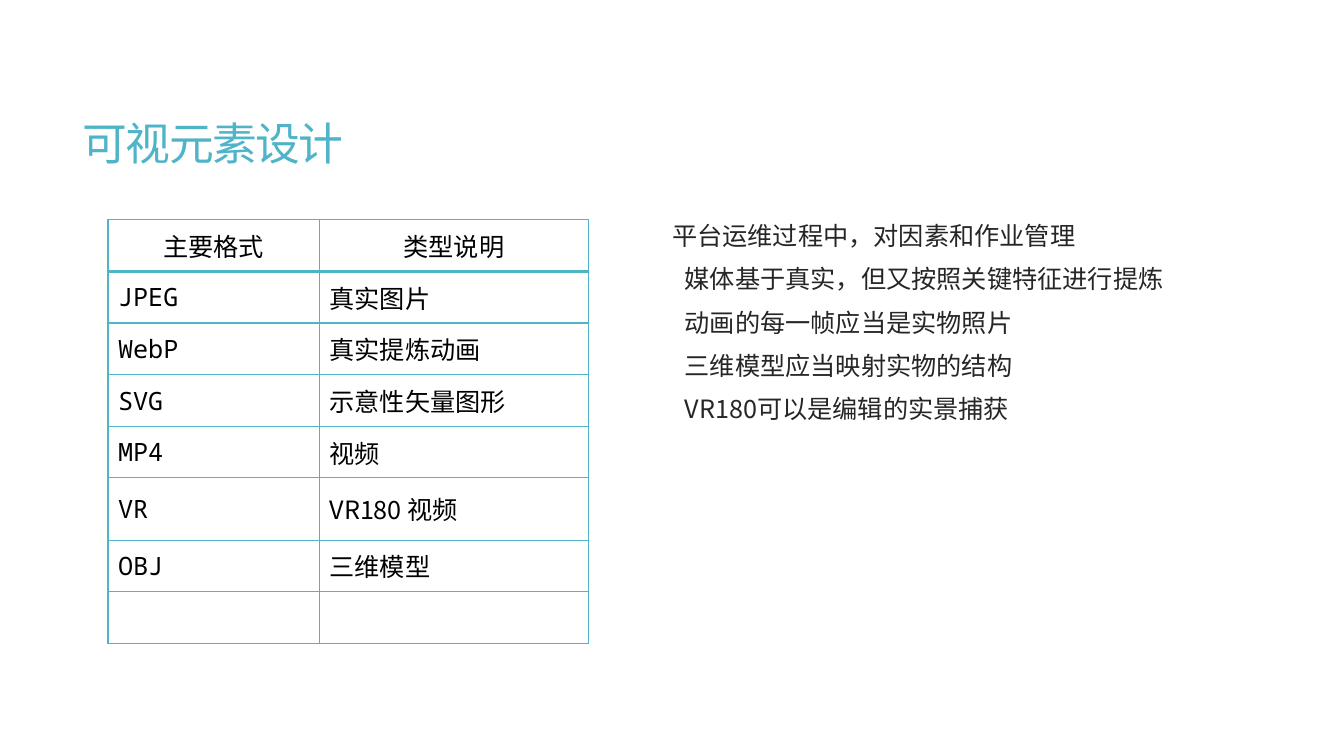
"""Build the slide on the design of visual elements: a format table beside notes."""
import pptx
import pptx.dml.color
import pptx.enum.text
import pptx.oxml
import pptx.oxml.ns
import pptx.util
from pptx.util import Cm

SANS, MONO = "Noto Sans CJK SC", "Noto Sans Mono"
TEAL, BLACK, DARK = "50B4C8", "000000", "262626"
TITLE = "可视元素设计"
HEADER = ("主要格式", "类型说明")
FORMATS = [
    ("JPEG", "真实图片"),
    ("WebP", "真实提炼动画"),
    ("SVG", "示意性矢量图形"),
    ("MP4", "视频"),
    ("VR", "VR180 视频"),
    ("OBJ", "三维模型"),
    ("", ""),
]
NOTES = [
    "平台运维过程中，对因素和作业管理",
    "媒体基于真实，但又按照关键特征进行提炼",
    "动画的每一帧应当是实物照片",
    "三维模型应当映射实物的结构",
    "VR180可以是编辑的实景捕获",
]
COLUMN_WIDTHS = (5.33, 6.78)
ROW_HEIGHT, VR_HEIGHT = 1.3, 1.57
ALIGN = pptx.enum.text.PP_ALIGN
MIDDLE = pptx.enum.text.MSO_ANCHOR.MIDDLE


def color(value):
    return pptx.dml.color.RGBColor.from_string(value)


def add_element(parent, tag, **attributes):
    child = parent.makeelement(pptx.oxml.ns.qn(tag), attributes)
    parent.append(child)
    return child


def write(para, text, size=18, font=SANS, fill=BLACK, align=ALIGN.LEFT,
          line=None, before=None, spacing=None):
    para.alignment = align
    if line:
        para.line_spacing = line
    if before:
        para.space_before = pptx.util.Pt(before)
    if not text:
        return
    span = para.add_run()
    span.text = text
    span.font.size = pptx.util.Pt(size)
    span.font.name = font
    span.font.color.rgb = color(fill)
    properties = span.font._element
    add_element(properties, "a:ea", typeface=font)
    if spacing:
        properties.set("spc", str(round(spacing * 100)))


def set_borders(cell, **widths):
    properties = cell._tc.get_or_add_tcPr()
    for side in "LRTB":
        width = pptx.util.Pt(widths.get(side, 1))
        border = add_element(properties, f"a:ln{side}", w=str(width))
        add_element(add_element(border, "a:solidFill"), "a:srgbClr", val=TEAL)


def add_title(page):
    title = page.shapes.title
    title.left, title.top, title.width, title.height = Cm(1.83), Cm(1.4), Cm(29.92), Cm(4.6)
    title.text_frame.vertical_anchor = MIDDLE
    write(title.text_frame.paragraphs[0], TITLE, size=32, fill=TEAL, line=0.85, spacing=-1.2)


def add_formats(page):
    rows = [HEADER] + FORMATS
    heights = [VR_HEIGHT if row[0] == "VR" else ROW_HEIGHT for row in rows]
    frame = page.shapes.add_table(len(rows), len(HEADER), Cm(2.72), Cm(5.54),
                                  Cm(sum(COLUMN_WIDTHS)), Cm(sum(heights)))
    table = frame.table
    table.first_row = table.horz_banding = False
    for column, width in zip(table.columns, COLUMN_WIDTHS):
        column.width = Cm(width)
    for r, (row, height) in enumerate(zip(rows, heights)):
        table.rows[r].height = Cm(height)
        for c, text in enumerate(row):
            cell = table.cell(r, c)
            cell.vertical_anchor = MIDDLE
            set_borders(cell, T=2 if r == 1 else 1, B=2 if r == 0 else 1)
            cell.fill.background()
            write(cell.text_frame.paragraphs[0], text,
                  font=MONO if r and c == 0 else SANS,
                  align=ALIGN.LEFT if r else ALIGN.CENTER)


def add_notes(page):
    box = page.shapes.add_textbox(Cm(16.69), Cm(5.56), Cm(12.95), Cm(10.46))
    frame = box.text_frame
    frame.word_wrap = True
    for index, text in enumerate(NOTES):
        para = frame.add_paragraph() if index else frame.paragraphs[0]
        write(para, text, fill=DARK, line=0.83, before=13)
        if index:
            properties = para._p.get_or_add_pPr()
            properties.set("marL", str(Cm(0.25)))
            properties.set("indent", str(-Cm(0.25)))
            add_element(properties, "a:buChar", char=" ")


def main():
    deck = pptx.Presentation()
    deck.slide_width, deck.slide_height = Cm(33.87), Cm(19.05)
    page = deck.slides.add_slide(deck.slide_layouts[5])
    add_title(page)
    add_formats(page)
    add_notes(page)
    deck.save("out.pptx")


if __name__ == "__main__":
    main()
